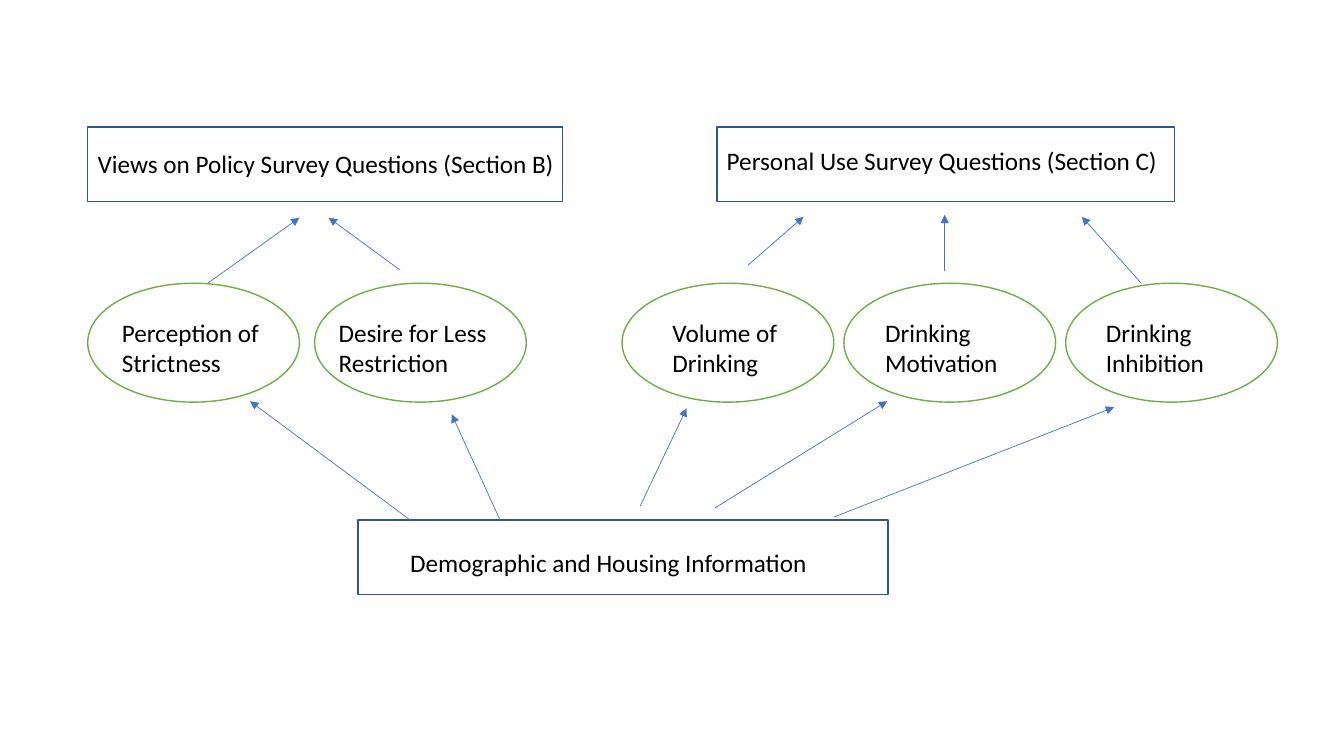
from typing import NamedTuple

from lxml import etree
from pptx import Presentation
from pptx.dml.color import RGBColor
from pptx.enum.shapes import MSO_CONNECTOR, MSO_SHAPE
from pptx.oxml.ns import qn
from pptx.util import Inches, Pt

ELLIPSE, RECT = MSO_SHAPE.OVAL, MSO_SHAPE.RECTANGLE
STRAIGHT = MSO_CONNECTOR.STRAIGHT
COLORS = {"white": "FFFFFF", "text": "000000", "factor": "70AD47",
          "section": "325491", "arrow": "4472C4"}
FONT = {"name": "Calibri", "size": Pt(18)}

FACTOR_TOP, FACTOR_W, FACTOR_H = 2.81, 2.1, 1.18
LABEL_TOP, LABEL_H = 3.1, 0.71
SECTION_H, TITLE_H = 0.74, 0.4


class Factor(NamedTuple):
    left: float
    label_left: float
    label_width: float
    text: str


class Section(NamedTuple):
    left: float
    top: float
    width: float
    title_left: float
    title_top: float
    title_width: float
    text: str


class Arrow(NamedTuple):
    x1: float
    y1: float
    x2: float
    y2: float


FACTORS = [
    Factor(0.87, 1.11, 1.63, "Perception of Strictness"),
    Factor(3.12, 3.26, 1.7, "Desire for Less Restriction"),
    Factor(6.17, 6.57, 1.61, "Volume of Drinking"),
    Factor(8.37, 8.68, 1.6, "Drinking Motivation"),
    Factor(10.57, 10.87, 1.49, "Drinking Inhibition"),
]
SECTIONS = [
    Section(0.87, 1.26, 4.71, 0.87, 1.42, 4.88,
            "Views on Policy Survey Questions (Section B)"),
    Section(7.11, 1.26, 4.54, 7.11, 1.39, 4.54,
            "Personal Use Survey Questions (Section C)"),
    Section(3.55, 5.16, 5.26, 3.97, 5.38, 4.41,
            "Demographic and Housing Information"),
]
FACTOR_TO_SECTION = [
    Arrow(2.06, 2.81, 2.97, 2.16),
    Arrow(3.97, 2.68, 3.26, 2.16),
    Arrow(7.42, 2.63, 7.97, 2.15),
    Arrow(9.37, 2.69, 9.37, 2.13),
    Arrow(11.32, 2.81, 10.73, 2.15),
]
DEMOGRAPHIC_TO_FACTOR = [
    Arrow(4.07, 5.16, 2.48, 3.98),
    Arrow(4.96, 5.16, 4.48, 4.11),
    Arrow(6.35, 5.02, 6.81, 4.05),
    Arrow(7.09, 5.04, 8.8, 3.98),
    Arrow(8.27, 5.13, 11.05, 4.04),
]


def rgb(name: str) -> RGBColor:
    return RGBColor.from_string(COLORS[name])


def add_outline(slide, kind, left: float, top: float, width: float,
                height: float, color: str) -> None:
    sp = slide.shapes.add_shape(kind, Inches(left), Inches(top),
                                Inches(width), Inches(height))
    sp.shadow.inherit = False
    sp.fill.solid()
    sp.fill.fore_color.rgb = rgb("white")
    sp.line.color.rgb = rgb(color)
    sp.line.width = Pt(1)


def add_label(slide, left: float, top: float, width: float, height: float,
              text: str) -> None:
    sp = slide.shapes.add_textbox(Inches(left), Inches(top),
                                  Inches(width), Inches(height))
    tf = sp.text_frame
    tf.word_wrap = True
    r = tf.paragraphs[0].add_run()
    r.text = text
    for attr, value in FONT.items():
        setattr(r.font, attr, value)
    r.font.color.rgb = rgb("text")


def add_arrow(slide, arrow: Arrow) -> None:
    cxn = slide.shapes.add_connector(STRAIGHT, *map(Inches, arrow))
    cxn.line.color.rgb = rgb("arrow")
    cxn.line.width = Pt(0.5)
    ln = cxn.line._get_or_add_ln()
    etree.SubElement(ln, qn("a:tailEnd"), type="triangle")
    etree.SubElement(ln.getparent(), qn("a:effectLst"))


def main() -> None:
    prs = Presentation()
    prs.slide_width, prs.slide_height = Inches(13.33), Inches(7.5)
    s = prs.slides.add_slide(prs.slide_layouts[6])

    for f in FACTORS:
        add_outline(s, ELLIPSE, f.left, FACTOR_TOP, FACTOR_W, FACTOR_H, "factor")
    for sec in SECTIONS:
        add_outline(s, RECT, sec.left, sec.top, sec.width, SECTION_H, "section")
    for sec in SECTIONS:
        add_label(s, sec.title_left, sec.title_top, sec.title_width, TITLE_H,
                  sec.text)
    for arrow in FACTOR_TO_SECTION + DEMOGRAPHIC_TO_FACTOR:
        add_arrow(s, arrow)
    for f in FACTORS:
        add_label(s, f.label_left, LABEL_TOP, f.label_width, LABEL_H, f.text)

    prs.save("out.pptx")


if __name__ == "__main__":
    main()
